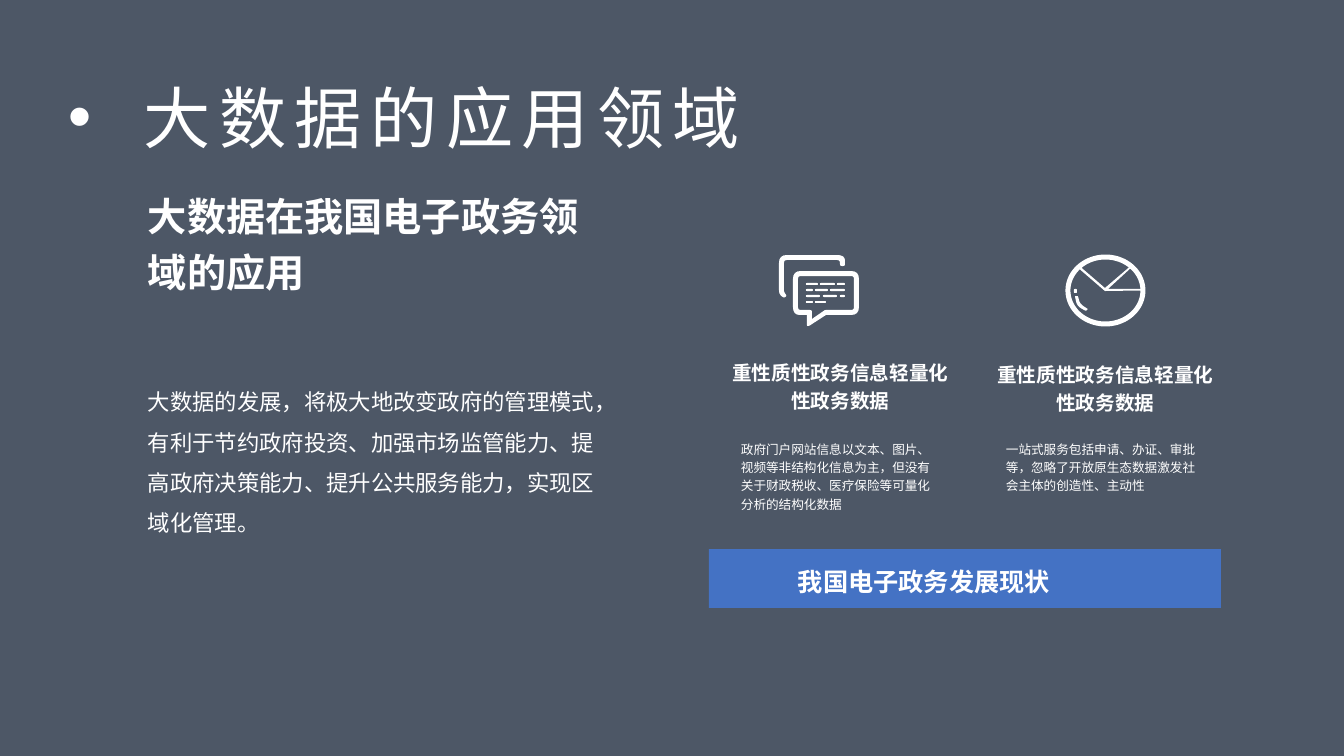
"""Build the slide on fields of application for big data."""
from dataclasses import dataclass
from math import cos, radians, sin

from lxml import etree
from pptx import Presentation
from pptx import util as u
from pptx.dml.color import RGBColor
from pptx.enum import shapes, text
from pptx.oxml.ns import qn

EMU_PER_PX = 12192000 / 1344
FONT = "Noto Sans CJK SC"
WHITE, SLATE, BLUE = "FFFFFF", "333F50", "4472C4"
Point = tuple[float, float]
Corner = tuple[int, int, int]
Contour = list[Point]


@dataclass
class TextBlock:
    """A white paragraph in a box measured in px."""
    words: str
    left: int
    top: int
    width: int
    height: int
    size: int
    spacing: float | None = 1.2
    bold: bool = False
    align: text.PP_ALIGN | None = None


@dataclass
class Feature:
    """A heading with a short description below it."""
    left: int
    top: int
    description: str
    description_height: int


BODY = TextBlock(
    "大数据的发展，将极大地改变政府的管理模式，有利于节约政府投资、加强市场监管能力、"
    "提高政府决策能力、提升公共服务能力，实现区域化管理。", 138, 370, 471, 168, 16, 1.5)
HEADING = TextBlock("大数据在我国电子政务领域的应用", 138, 178, 488, 120, 28, bold=True)
TITLE = TextBlock("大数据的应用领域", 68, 76, 803, 82, 48, None)
BANNER = TextBlock("我国电子政务发展现状", 709, 549, 512, 59, 18, bold=True,
                   align=text.PP_ALIGN.JUSTIFY)
FEATURE_HEADING = "重性质性政务信息轻量化性政务数据"
FEATURES = [
    Feature(717, 351, "政府门户网站信息以文本、图片、视频等非结构化信息为主，但没有"
            "关于财政税收、医疗保险等可量化分析的结构化数据", 83),
    Feature(982, 353, "一站式服务包括申请、办证、审批等，忽略了开放原生态数据激发社"
            "会主体的创造性、主动性", 64),
]
DASH_ROWS = [
    [(27, 39), (41, 56), (58, 66)],
    [(27, 34), (36, 49), (51, 66)],
    [(27, 41), (44, 58), (61, 66)],
    [(27, 34), (36, 47)],
]
BUBBLES: list[list[Corner]] = [
    [(14, 16, 8), (80, 16, 8), (80, 60, 8), (47, 60, 0), (30, 71, 1), (28, 71, 1),
     (28, 60, 0), (14, 60, 8)],
    [(19, 21, 3), (75, 21, 3), (75, 55, 3), (46, 55, 1), (33, 64, 0), (33, 55, 2),
     (19, 55, 3)],
    [(0, 0, 8), (66, 0, 8), (66, 11, 2), (61, 11, 2), (61, 5, 3), (5, 5, 3),
     (5, 37, 2), (8, 41, 2), (5, 43, 2), (0, 39, 4)],
]
GLOSS: list[list[Corner]] = [
    [(8, 34, 1), (11, 34, 1), (11, 38, 1), (8, 38, 1)],
    [(9, 41, 1), (12, 41, 1), (14, 49, 5), (22, 54, 1), (20, 56, 1), (11, 51, 5)],
]


def px(length: float) -> int:
    """Turn px into EMU."""
    return round(length * EMU_PER_PX)


def colour(value: str) -> RGBColor:
    """Turn a hex string into a colour."""
    return RGBColor.from_string(value)


def paint(shape, fill: str) -> None:
    """Give a shape a plain fill without line or shadow."""
    shape.shadow.inherit = False
    shape.fill.solid()
    shape.fill.fore_color.rgb = colour(fill)
    shape.line.fill.background()


def add_rectangle(slide, left: int, top: int, width: int, height: int, fill: str):
    """Draw a plain rectangle."""
    shape = slide.shapes.add_shape(shapes.MSO_SHAPE.RECTANGLE,
                                   px(left), px(top), px(width), px(height))
    paint(shape, fill)
    return shape


def write(shape, block: TextBlock) -> None:
    """Write a block's paragraph into a shape."""
    shape.text_frame.word_wrap = True
    paragraph = shape.text_frame.paragraphs[0]
    paragraph.add_run().text = block.words
    paragraph.alignment = block.align
    paragraph.line_spacing = block.spacing
    font = paragraph.font
    font.size, font.bold, font.name = u.Pt(block.size), block.bold, FONT
    font.color.rgb = colour(WHITE)
    defaults = paragraph._p.pPr.find(qn("a:defRPr"))
    etree.SubElement(defaults, qn("a:ea"), typeface=FONT)


def add_text(slide, block: TextBlock):
    """Add a text box that grows with its text."""
    box = slide.shapes.add_textbox(px(block.left), px(block.top),
                                   px(block.width), px(block.height))
    box.text_frame.auto_size = text.MSO_AUTO_SIZE.SHAPE_TO_FIT_TEXT
    write(box, block)
    return box


def add_title(slide) -> None:
    """Add the bulleted, widely spaced title."""
    box = slide.shapes.add_textbox(px(TITLE.left), px(TITLE.top),
                                   px(TITLE.width), px(TITLE.height))
    frame = box.text_frame
    frame.auto_size = text.MSO_AUTO_SIZE.SHAPE_TO_FIT_TEXT
    frame.margin_left = frame.margin_top = frame.margin_right = frame.margin_bottom = 0
    properties = frame.paragraphs[0]._p.get_or_add_pPr()
    properties.set("marL", str(px(76)))
    properties.set("indent", str(px(-76)))
    etree.SubElement(properties, qn("a:buFont"), typeface="Arial")
    etree.SubElement(properties, qn("a:buChar"), char="•")
    write(box, TITLE)
    properties.find(qn("a:defRPr")).set("spc", "600")


def rounded(corners: list[Corner]) -> Contour:
    """Trace a polygon, rounding each corner by its radius."""
    contour: Contour = []
    for index, (x, y, radius) in enumerate(corners):
        ends = []
        for other in (corners[index - 1], corners[(index + 1) % len(corners)]):
            dx, dy = other[0] - x, other[1] - y
            share = min(radius / (dx * dx + dy * dy) ** 0.5, 0.5)
            ends.append((x + dx * share, y + dy * share))
        (x0, y0), (x1, y1) = ends
        for t in (0, 0.25, 0.5, 0.75, 1) if radius else (0,):
            a, b, c = (1 - t) ** 2, 2 * t * (1 - t), t * t
            contour.append((a * x0 + b * x + c * x1, a * y0 + b * y + c * y1))
    return contour


def arc(rx: int, ry: int, start: int, end: int) -> Contour:
    """Trace a clockwise arc of the pie in steps of about four degrees."""
    steps = (end - start) // 4
    angles = [radians(start + (end - start) * i / steps) for i in range(steps + 1)]
    return [(39.5 + rx * cos(angle), 35.5 + ry * sin(angle)) for angle in angles]


def add_icon(slide, left: int, top: int, contours: list[Contour]) -> None:
    """Draw closed contours as one white shape."""
    outlines = [[(px(left + x), px(top + y)) for x, y in contour] for contour in contours]
    builder = slide.shapes.build_freeform(*outlines[0][0])
    for index, outline in enumerate(outlines):
        if index:
            builder.move_to(*outline[0])
        builder.add_line_segments(outline[1:], close=True)
    paint(builder.convert_to_shape(), WHITE)


def main() -> None:
    """Build and save the slide."""
    presentation = Presentation()
    presentation.slide_width, presentation.slide_height = px(1344), px(756)
    slide = presentation.slides.add_slide(presentation.slide_layouts[6])

    backdrop = add_rectangle(slide, 0, 0, 1344, 756, SLATE)
    tint = next(backdrop._element.spPr.iter(qn("a:srgbClr")))
    etree.SubElement(tint, qn("a:alpha"), val="87000")
    add_text(slide, HEADING)
    add_text(slide, BODY)
    banner = add_rectangle(slide, BANNER.left, BANNER.top, BANNER.width, BANNER.height, BLUE)
    banner.text_frame.margin_left = px(89)
    banner.text_frame.vertical_anchor = text.MSO_ANCHOR.MIDDLE
    write(banner, BANNER)

    dashes = [[(x0, y, 1), (x1, y, 1), (x1, y + 2, 1), (x0, y + 2, 1)]
              for y, row in zip(range(28, 52, 6), DASH_ROWS) for x0, x1 in row]
    add_icon(slide, 779, 255, [rounded(corners) for corners in BUBBLES + dashes])
    pie = [arc(40, 36, 0, 360), [(39, 36)] + arc(35, 31, 0, 223),
           [(42, 34)] + arc(35, 31, -45, -3), [(39, 33)] + arc(35, 31, 227, 312)]
    add_icon(slide, 1066, 255, pie + [rounded(corners) for corners in GLOSS])

    for feature in FEATURES:
        add_text(slide, TextBlock(FEATURE_HEADING, feature.left, feature.top, 247, 66, 14,
                                  bold=True, align=text.PP_ALIGN.CENTER))
        add_text(slide, TextBlock(feature.description, feature.left + 14, 434, 211,
                                  feature.description_height, 9))
    add_title(slide)
    presentation.save("out.pptx")


if __name__ == "__main__":
    main()
